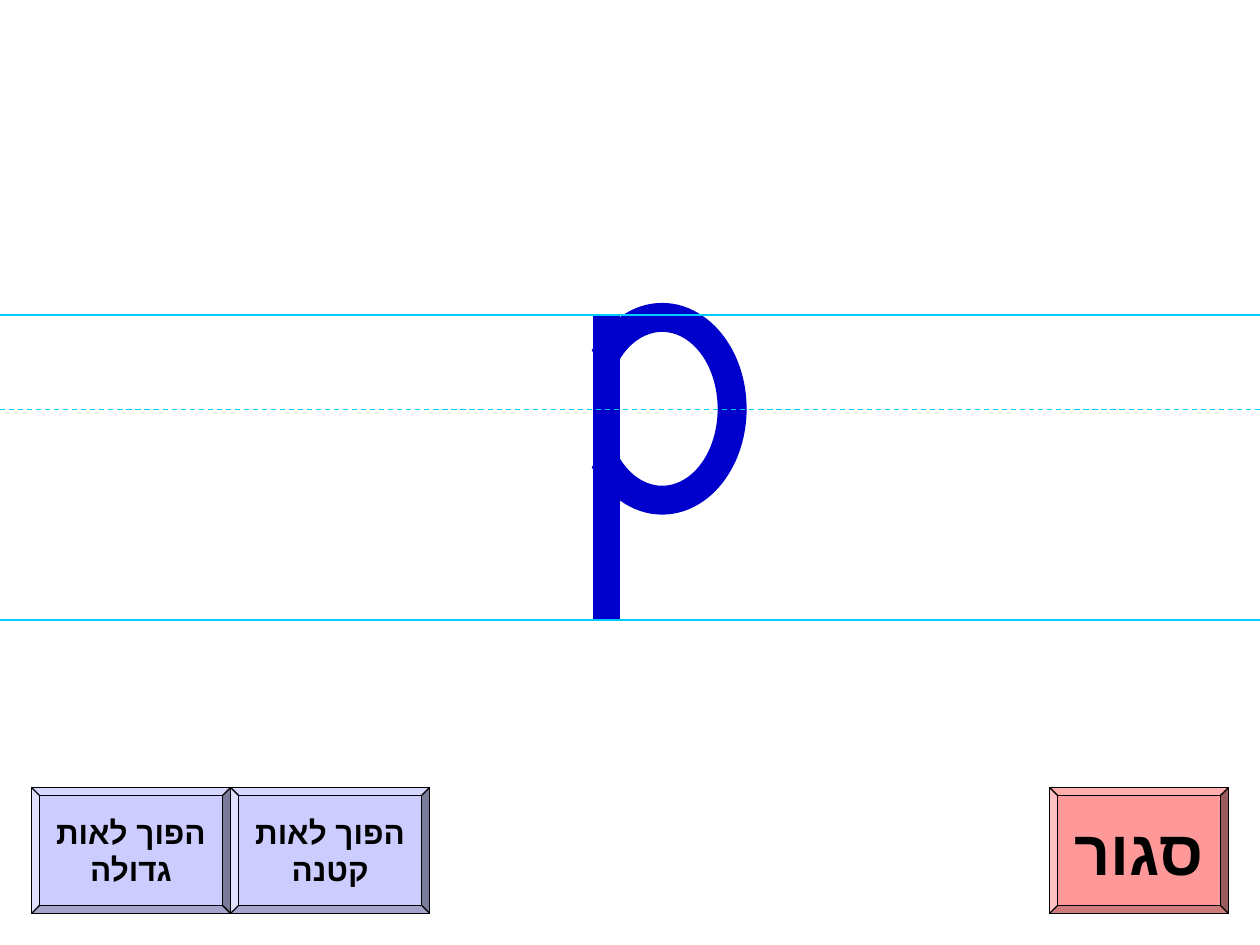
"""Build a handwriting slide showing the letter p on guide lines, with three buttons."""
from lxml import etree
from pptx import Presentation
from pptx import util as u
from pptx.dml.color import RGBColor
from pptx.enum import dml, shapes, text
from pptx.oxml.ns import qn


def paint(color_format, hex_color):
    color_format.rgb = RGBColor.from_string(hex_color)


def add_block(parent, kind, left, top, width, height, fill, outline):
    block = parent.add_shape(kind, *map(u.Inches, (left, top, width, height)))
    block.shadow.inherit = False
    block.fill.solid()
    paint(block.fill.fore_color, fill)
    paint(block.line.color, outline)
    block.line.width = u.Pt(0.75)
    return block


INK, BLACK, GUIDE = "0000CC", "000000", "00CCFF"
TOP_LINE, MIDDLE_LINE, BASE_LINE = 2.5, 3.25, 4.92
BUTTON_TOP, BUTTON_HEIGHT = 6.25, 1

deck = Presentation()
deck.slide_width, deck.slide_height = u.Inches(10), u.Inches(7.5)
page = deck.slides.add_slide(deck.slide_layouts[6])

letter = page.shapes.add_group_shape()
add_block(letter.shapes, shapes.MSO_SHAPE.RECTANGLE,
          4.71, TOP_LINE, 0.21, BASE_LINE - TOP_LINE, INK, INK)
bowl = add_block(letter.shapes, shapes.MSO_SHAPE.BLOCK_ARC, 4.42, 2.58, 1.67, 1.33, INK, INK)
bowl.rotation = 90
for index, value in enumerate((77.897, 30.103, 0.165)):
    bowl.adjustments[index] = value

buttons = [
    (0.25, 1.58, "CCCCFF", 18, ["הפוך לאות", "גדולה"]),
    (1.83, 1.58, "CCCCFF", 18, ["הפוך לאות", "קטנה"]),
    (8.33, 1.42, "FF9999", 36, ["סגור"]),
]
for left, width, fill, size, lines in buttons:
    button = add_block(page.shapes, shapes.MSO_SHAPE.BEVEL,
                       left, BUTTON_TOP, width, BUTTON_HEIGHT, fill, BLACK)
    button.adjustments[0] = 0.0625
    frame = button.text_frame
    frame.word_wrap = False
    frame.vertical_anchor = text.MSO_ANCHOR.MIDDLE
    frame.text = "\n".join(lines)
    for para in frame.paragraphs:
        para.alignment = text.PP_ALIGN.CENTER
        para.font.name, para.font.size, para.font.bold = "Arial", u.Pt(size), True
        paint(para.font.fill.fore_color if para.font.fill.solid() else para.font.color, BLACK)
        properties = para._p.pPr
        properties.set("rtl", "1")
        etree.SubElement(properties.find(qn("a:defRPr")), qn("a:cs"), typeface="Arial")

for height, dash in ((MIDDLE_LINE, dml.MSO_LINE.DASH), (TOP_LINE, None), (BASE_LINE, None)):
    guide = page.shapes.add_connector(shapes.MSO_CONNECTOR.STRAIGHT,
                                      0, u.Inches(height), deck.slide_width, u.Inches(height))
    paint(guide.line.color, GUIDE)
    guide.line.width = u.Pt(0.75)
    if dash:
        guide.line.dash_style = dash
    etree.SubElement(guide._element.spPr, qn("a:effectLst"))

deck.save("out.pptx")
